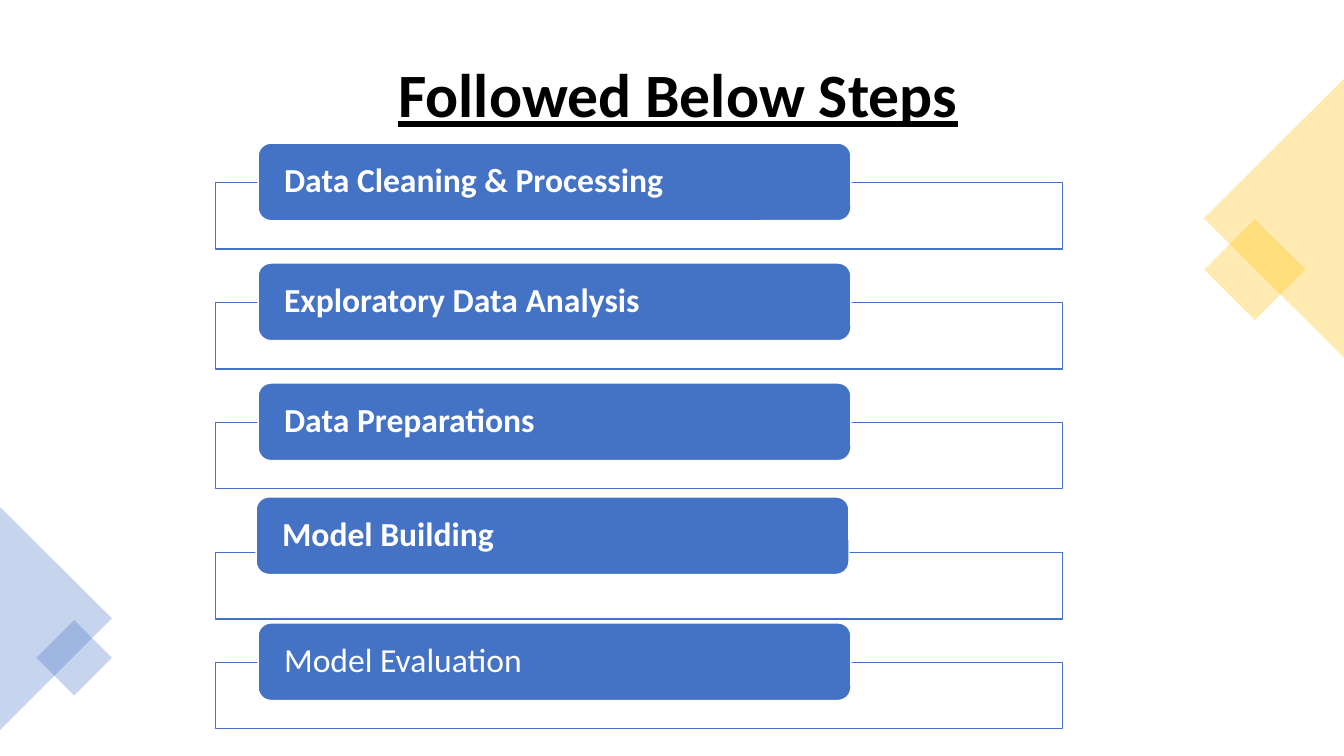
from pptx import Presentation
from pptx.dml.color import RGBColor
from pptx.enum.shapes import MSO_SHAPE as Shape
from pptx.enum.text import MSO_ANCHOR as Anchor, PP_ALIGN as Align
from pptx.oxml.xmlchemy import OxmlElement as Element
from pptx.util import Inches, Pt

BLUE = RGBColor(0x44, 0x72, 0xC4)
GOLD = RGBColor(0xFF, 0xC0, 0x00)
WHITE = RGBColor(0xFF, 0xFF, 0xFF)
BLACK = RGBColor(0x00, 0x00, 0x00)
FONT = "Calibri"

# Step name, bold, frame shift down, tab shift right, tab shift down
STEPS = [
    ("Data Cleaning & Processing", True, 0, 0, 0),
    ("Exploratory Data Analysis", True, 0, 0, 0),
    ("Data Preparations", True, 0, 0, 0),
    ("Model Building", True, 0.1, -0.02, -0.06),
    ("Model Evaluation", False, 0, 0, 0),
]
PITCH = 1.19


def add_block(slide, kind, box, fill, line=None, alpha=None, turn=0):
    block = slide.shapes.add_shape(kind, *map(Inches, box))
    block.shadow.inherit = False
    block.rotation = turn
    block.fill.solid()
    block.fill.fore_color.rgb = fill
    if alpha is not None:
        node = Element("a:alpha")
        node.set("val", str(alpha * 1000))
        block.fill._xPr.solidFill[0].append(node)
    if line is None:
        block.line.fill.background()
    else:
        block.line.color.rgb = line
        block.line.width = Pt(1)
    return block


def write(frame, text, size, color, bold, align):
    frame.word_wrap = True
    frame.vertical_anchor = Anchor.MIDDLE
    para = frame.paragraphs[0]
    para.text = text
    para.alignment = align
    para.line_spacing = 0.9
    font = para.font
    font.name, font.size, font.bold = FONT, Pt(size), bold
    font.color.rgb = color
    return para


def add_title(slide, box):
    label = slide.shapes.add_textbox(*map(Inches, box))
    para = write(label.text_frame, "Followed Below Steps", 44, BLACK, True,
                 Align.CENTER)
    para.font.underline = True


def add_corner(slide, box, color, turn, square):
    """Half diamond on the slide edge, overlapped by a small diamond."""
    add_block(slide, Shape.ISOSCELES_TRIANGLE, box, color, alpha=30, turn=turn)
    add_block(slide, Shape.RECTANGLE, square, color, alpha=30, turn=45)


def add_step(slide, box, step):
    """Outlined frame with a filled tab that overlaps its top edge."""
    text, bold, drop, right, down = step
    x, y, wide = box
    add_block(slide, Shape.RECTANGLE, (x, y + 0.39 + drop, wide, 0.66),
              WHITE, BLUE, alpha=90)
    tab = add_block(slide, Shape.ROUNDED_RECTANGLE,
                    (x + 0.42 + right, y + down, wide * 0.7, 0.77),
                    BLUE, WHITE)
    frame = tab.text_frame
    frame.margin_left = frame.margin_right = Inches(0.22)
    frame.margin_top = frame.margin_bottom = 0
    write(frame, text, 24, WHITE, bold, Align.LEFT)


def add_steps(slide, box):
    x, y, wide = box
    for row, step in enumerate(STEPS):
        add_step(slide, (x, y + row * PITCH, wide), step)


def main():
    deck = Presentation()
    deck.slide_width, deck.slide_height = Inches(13.33), Inches(7.5)
    slide = deck.slides.add_slide(deck.slide_layouts[6])

    # Heading
    add_title(slide, (0.76, 0.35, 11.93, 1.24))

    # Corner decorations
    add_corner(slide, (11.25, 1.47, 2.77, 1.39), GOLD, 270,
               (12.09, 2.32, 0.71, 0.71))
    add_corner(slide, (-0.55, 5.58, 2.21, 1.11), BLUE, 90,
               (0.47, 6.26, 0.53, 0.53))

    # List of steps
    add_steps(slide, (2.14, 1.42, 8.4))

    deck.save("out.pptx")


if __name__ == "__main__":
    main()
